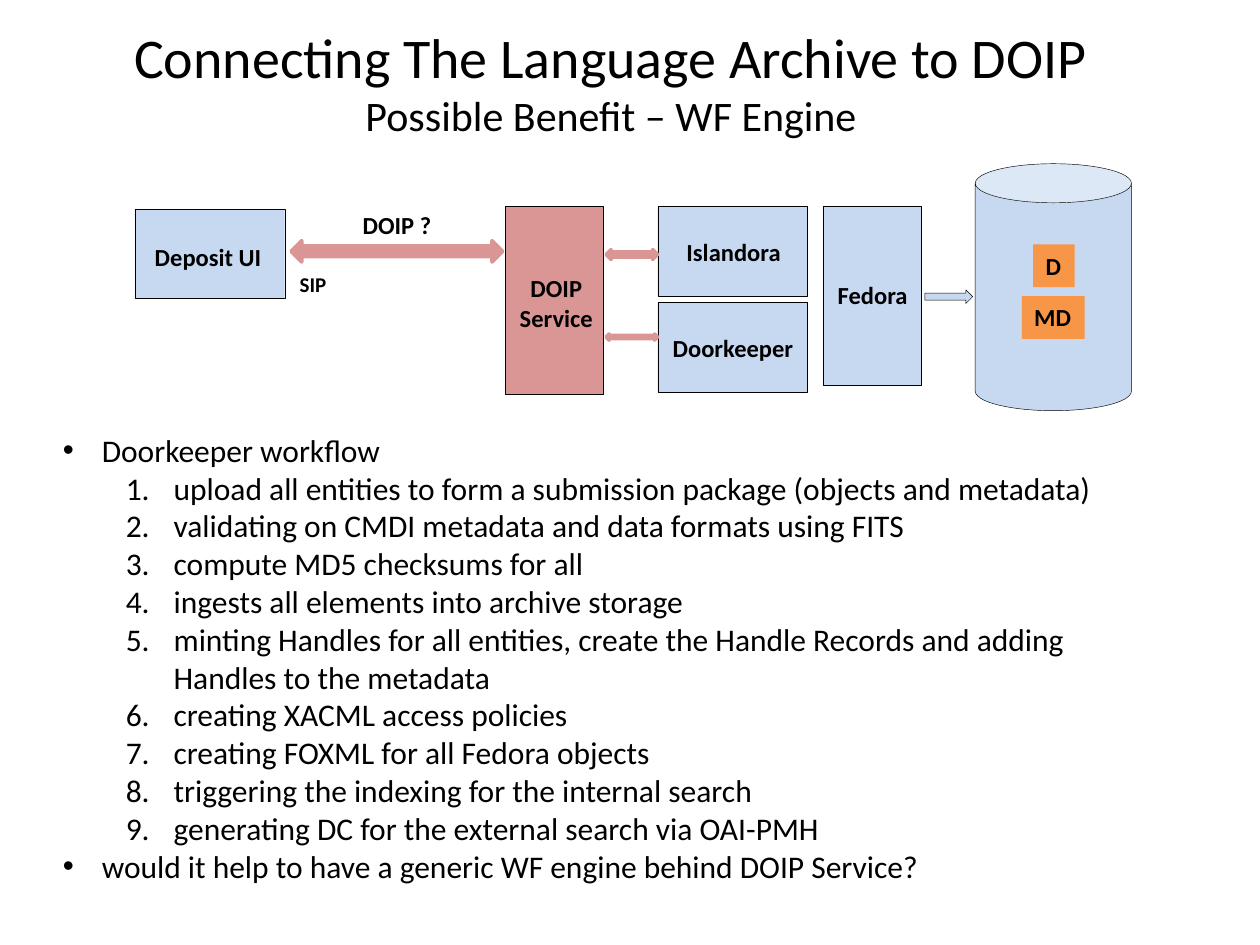
from lxml.etree import SubElement
from pptx import Presentation
from pptx.dml.color import RGBColor
from pptx.enum.shapes import MSO_SHAPE
from pptx.enum.text import MSO_ANCHOR, MSO_AUTO_SIZE, PP_ALIGN
from pptx.oxml.ns import qn
from pptx.util import Inches, Pt

FONT = "Calibri"
BLACK, BLUE, RED, ORANGE = "000000", "C6D9F1", "D99694", "F79646"

WORKFLOW = [
    "upload all entities to form a submission package (objects and metadata)",
    "validating on CMDI metadata and data formats using FITS",
    "compute MD5 checksums for all",
    "ingests all elements into archive storage",
    "minting Handles for all entities, create the Handle Records and adding "
    "Handles to the metadata",
    "creating XACML access policies",
    "creating FOXML for all Fedora objects",
    "triggering the indexing for the internal search",
    "generating DC for the external search via OAI-PMH",
]


def color(value):
    return RGBColor.from_string(value)


def place(shape, left, top, width, height):
    shape.left, shape.top = Inches(left), Inches(top)
    shape.width, shape.height = Inches(width), Inches(height)


def write(paragraph, text, size=14, bold=False, align=PP_ALIGN.LEFT):
    """Fill a paragraph with one formatted span."""
    paragraph.alignment = align
    paragraph.space_before = Pt(0)
    span = paragraph.add_run()
    span.text = text
    span.font.name, span.font.size, span.font.bold = FONT, Pt(size), bold
    span.font.color.rgb = color(BLACK)


def add_bullet(paragraph, margin, hanging, numbered=False):
    properties = paragraph._p.get_or_add_pPr()
    properties.set("marL", str(Inches(margin)))
    properties.set("indent", str(-Inches(hanging)))
    if numbered:
        SubElement(properties, qn("a:buFont"), typeface="+mj-lt")
        SubElement(properties, qn("a:buAutoNum"), type="arabicPeriod")
    else:
        SubElement(properties, qn("a:buFont"), typeface="Arial")
        SubElement(properties, qn("a:buChar"), char="•")


def add_title(page, lines):
    title = page.shapes.title
    place(title, 0.4, 0.13, 8.9, 1.04)
    frame = title.text_frame
    frame.auto_size = MSO_AUTO_SIZE.NONE
    frame.vertical_anchor = MSO_ANCHOR.TOP
    for index, (text, size) in enumerate(lines):
        paragraph = frame.add_paragraph() if index else frame.paragraphs[0]
        write(paragraph, text, size=size, align=PP_ALIGN.CENTER)


def add_shape(page, kind, bounds, fill=BLUE, line=BLACK, weight=0.25):
    shape = page.shapes.add_shape(kind, *map(Inches, bounds))
    shape.shadow.inherit = False
    shape.fill.solid()
    shape.fill.fore_color.rgb = color(fill)
    shape.line.color.rgb = color(line)
    shape.line.width = Pt(weight)


def add_label(page, lines, bounds, size=14, fill=None, align=PP_ALIGN.LEFT):
    box = page.shapes.add_textbox(*map(Inches, bounds))
    if fill:
        box.fill.solid()
        box.fill.fore_color.rgb = color(fill)
    frame = box.text_frame
    frame.word_wrap = False
    for index, text in enumerate(lines):
        paragraph = frame.add_paragraph() if index else frame.paragraphs[0]
        write(paragraph, text, size=size, bold=True, align=align)


def add_workflow(page):
    box = page.shapes.add_textbox(*map(Inches, (0.4, 3.37, 8.74, 3.74)))
    frame = box.text_frame
    frame.word_wrap = True
    items = [("Doorkeeper workflow", False)]
    items += [(step, True) for step in WORKFLOW]
    items += [("would it help to have a generic WF engine behind DOIP Service?", False)]
    for index, (text, numbered) in enumerate(items):
        paragraph = frame.add_paragraph() if index else frame.paragraphs[0]
        if numbered:
            paragraph.level = 1
            add_bullet(paragraph, 0.88, 0.38, numbered=True)
        else:
            add_bullet(paragraph, 0.31, 0.31)
        write(paragraph, text, size=18)


def add_diagram(page):
    # Storage with data and metadata
    add_shape(page, MSO_SHAPE.CAN, (7.74, 1.3, 1.24, 1.96))
    add_label(page, ["D"], (8.2, 1.94, 0.33, 0.34), fill=ORANGE)
    add_label(page, ["MD"], (8.11, 2.35, 0.5, 0.34), fill=ORANGE)

    # Components
    for bounds, fill in [
        ((1.07, 1.66, 1.19, 0.71), BLUE),  # Deposit UI
        ((4.01, 1.64, 0.78, 1.49), RED),   # DOIP Service
        ((5.22, 1.64, 1.19, 0.71), BLUE),  # Islandora
        ((5.22, 2.4, 1.19, 0.71), BLUE),   # Doorkeeper
        ((6.53, 1.64, 0.78, 1.42), BLUE),  # Fedora
    ]:
        add_shape(page, MSO_SHAPE.RECTANGLE, bounds, fill=fill)

    # Arrows between components
    add_shape(page, MSO_SHAPE.RIGHT_ARROW, (7.34, 2.3, 0.38, 0.11))
    for bounds in [(2.31, 1.91, 1.68, 0.17), (4.81, 1.98, 0.41, 0.08),
                   (4.81, 2.65, 0.41, 0.05)]:
        add_shape(page, MSO_SHAPE.LEFT_RIGHT_ARROW, bounds, fill=RED, line=RED, weight=2)

    # Names of components and arrows
    for text, left, top, width in [
        ("Deposit UI", 1.13, 1.87, 1.06),
        ("DOIP ?", 2.78, 1.62, 0.75),
        ("Islandora", 5.35, 1.83, 0.96),
        ("Doorkeeper", 5.24, 2.59, 1.17),
        ("Fedora", 6.55, 2.17, 0.76),
    ]:
        add_label(page, [text], (left, top, width, 0.34))
    add_label(page, ["SIP"], (2.28, 2.11, 0.42, 0.3), size=12)
    add_label(page, ["DOIP", "Service"], (4.02, 2.12, 0.79, 0.57), align=PP_ALIGN.CENTER)


def main():
    deck = Presentation()
    deck.slide_width, deck.slide_height = Inches(10), Inches(7.5)
    page = deck.slides.add_slide(deck.slide_layouts[5])
    add_title(page, [("Connecting The Language Archive to DOIP", 32),
                     ("Possible Benefit – WF Engine", 24)])
    add_workflow(page)
    add_diagram(page)
    deck.save("out.pptx")


if __name__ == "__main__":
    main()
